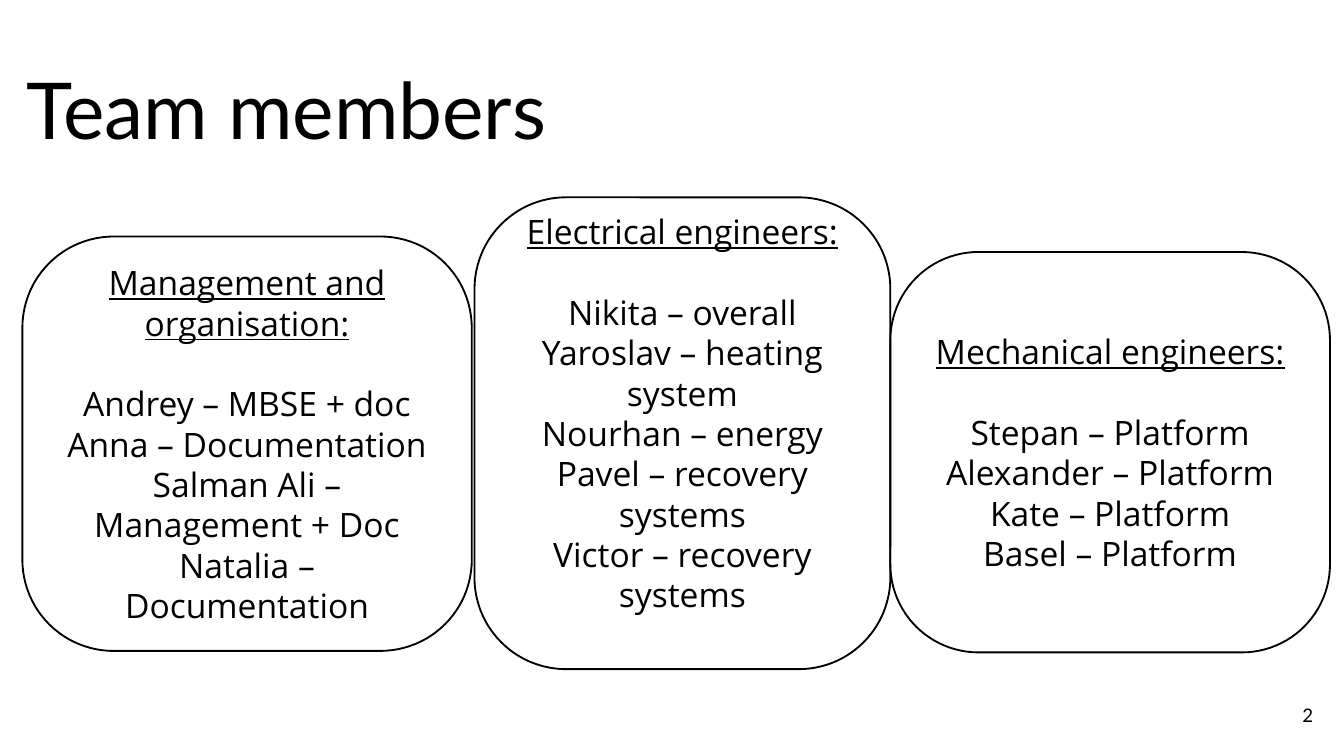
from pptx import Presentation
from pptx import util as u
from pptx.dml.color import RGBColor
from pptx.enum import shapes, text

PX = 9525  # 96 px to the inch
COLORS = {"ink": "000000", "paper": "FFFFFF"}
INK = RGBColor.from_string(COLORS["ink"])
LINE = u.Pt(21.6)

TEAMS = [
    ((16, 169, 321, 296), 5, "Management and organisation:",
     ["Andrey – MBSE + doc", "Anna – Documentation",
      "Salman Ali – Management + Doc", "Natalia – Documentation"]),
    ((636, 180, 314, 286), 5, "Mechanical engineers:",
     ["Stepan – Platform", "Alexander – Platform",
      "Kate – Platform", "Basel – Platform"]),
    ((339, 141, 297, 337), 34, "Electrical engineers:",
     ["Nikita – overall", "Yaroslav – heating system", "Nourhan – energy",
      "Pavel – recovery systems", "Victor – recovery systems"]),
]


def set_frame(box, anchor, side, top, bottom):
    """Wrap the text of a box and set its anchor and insets in px."""
    frame = box.text_frame
    values = {"word_wrap": True, "auto_size": text.MSO_AUTO_SIZE.NONE,
              "vertical_anchor": anchor,
              "margin_left": side * PX, "margin_right": side * PX,
              "margin_top": top * PX, "margin_bottom": bottom * PX}
    for name, value in values.items():
        setattr(frame, name, value)
    return frame


def write(para, words, font, size, align, underline=False):
    para.alignment = align
    span = para.add_run()
    span.text = words
    values = {"name": font, "size": u.Pt(size), "underline": underline}
    for name, value in values.items():
        setattr(span.font, name, value)
    span.font.color.rgb = INK


deck = Presentation()
deck.slide_width, deck.slide_height = 960 * PX, 540 * PX
page = deck.slides.add_slide(deck.slide_layouts[5])
page.background.fill.solid()
page.background.fill.fore_color.rgb = RGBColor.from_string(COLORS["paper"])

for place, bottom, heading, members in TEAMS:
    box = page.shapes.add_shape(shapes.MSO_SHAPE.ROUNDED_RECTANGLE,
                                *[n * PX for n in place])
    box.adjustments[0] = 0.22
    box.shadow.inherit = False
    box.fill.background()
    box.line.color.rgb = INK
    box.line.width = u.Pt(1)
    frame = set_frame(box, text.MSO_ANCHOR.MIDDLE, 10, 5, bottom)
    for i, words in enumerate([heading, *members]):
        para = frame.add_paragraph() if i else frame.paragraphs[0]
        para.line_spacing = LINE
        if i == 0:
            para.space_after = LINE
        write(para, words, "Open Sans", 18, text.PP_ALIGN.CENTER, i == 0)

title = page.shapes.title
title.left, title.top, title.width, title.height = [
    n * PX for n in (9, 34, 895, 87)]
frame = set_frame(title, text.MSO_ANCHOR.BOTTOM, 10, 10, 10)
write(frame.paragraphs[0], "Team members", "Lato", 42, text.PP_ALIGN.LEFT)

number = page.shapes.add_textbox(*[n * PX for n in (890, 490, 58, 41)])
frame = set_frame(number, text.MSO_ANCHOR.MIDDLE, 10, 10, 10)
write(frame.paragraphs[0], "2", "Lato", 10, text.PP_ALIGN.RIGHT)

deck.save("out.pptx")
